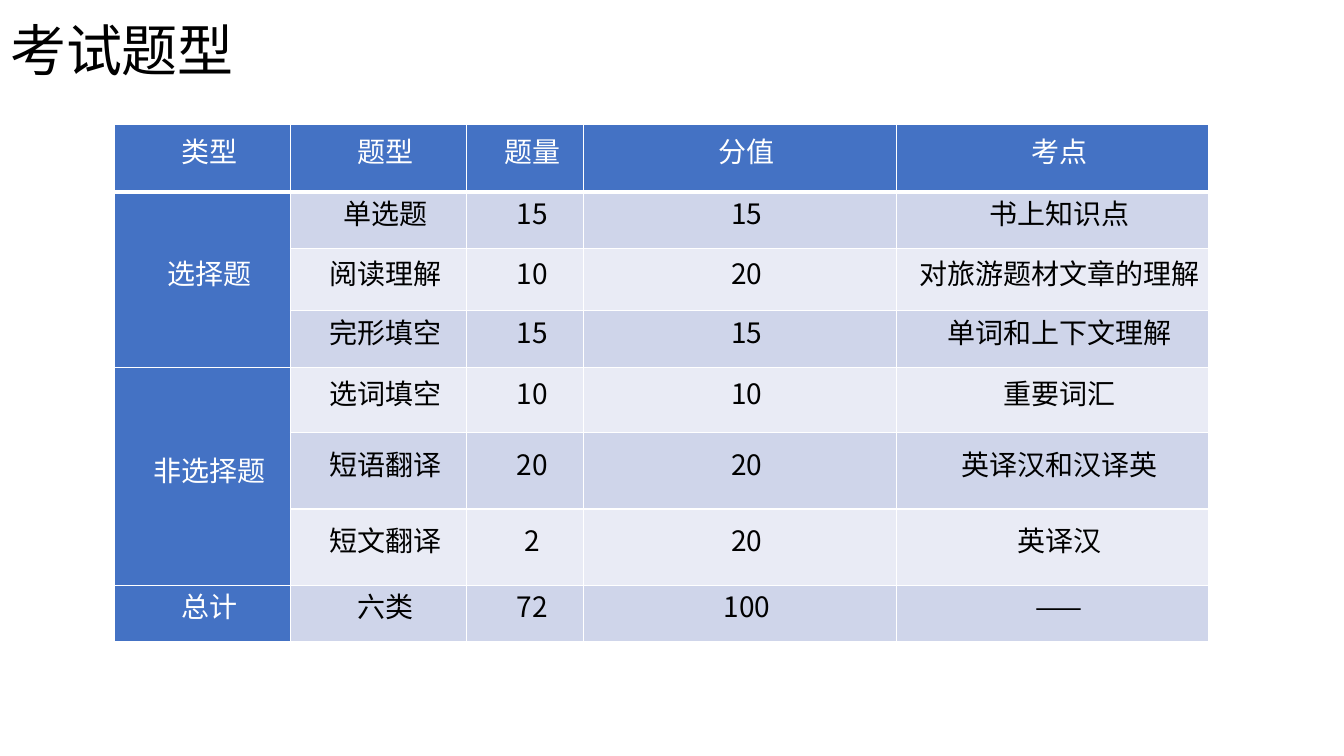
from lxml.etree import SubElement
from pptx import Presentation
from pptx.dml.color import RGBColor
from pptx.enum.text import MSO_ANCHOR, PP_ALIGN
from pptx.oxml.ns import qn
from pptx.util import Pt

# Content
TITLE = "考试题型"
ROWS = [
    ("类型", "题型", "题量", "分值", "考点"),
    ("选择题", "单选题", "15", "15", "书上知识点"),
    ("", "阅读理解", "10", "20", "对旅游题材文章的理解"),
    ("", "完形填空", "15", "15", "单词和上下文理解"),
    ("非选择题", "选词填空", "10", "10", "重要词汇"),
    ("", "短语翻译", "20", "20", "英译汉和汉译英"),
    ("", "短文翻译", "2", "20", "英译汉"),
    ("总计", "六类", "72", "100", "——"),
]
CATEGORY_SPANS = [(1, 3), (4, 6)]

# Style and measures in points
COLORS = {"header": "4472C4", "odd": "CFD5EA", "even": "E9EBF5",
          "white": "FFFFFF", "black": "000000"}
FONT = "Noto Sans CJK SC"
COLUMN_WIDTHS = [126, 126, 83.5, 223.2, 223.2]
ROW_HEIGHTS = [48.2, 40.3, 44.8, 40.5, 46.3, 54.7, 54.7, 39.8]
TABLE_LEFT, TABLE_TOP = 81.4, 88.8


def format_text(paragraph, size, color):
    for run in paragraph.runs:
        run.font.size = Pt(size)
        run.font.bold = False
        run.font.name = FONT
        run.font.color.rgb = RGBColor.from_string(COLORS[color])
        SubElement(run.font._element, qn("a:ea"), typeface=FONT)


def add_borders(cell, bottom_width):
    properties = cell._tc.get_or_add_tcPr()
    for side, width in (("L", 1), ("R", 1), ("T", 1), ("B", bottom_width)):
        line = SubElement(properties, qn(f"a:ln{side}"), w=str(Pt(width)))
        fill = SubElement(line, qn("a:solidFill"))
        SubElement(fill, qn("a:srgbClr"), val=COLORS["white"])


def format_cell(cell, text, fill, color, bottom_width):
    add_borders(cell, bottom_width)
    cell.fill.solid()
    cell.fill.fore_color.rgb = RGBColor.from_string(COLORS[fill])
    cell.vertical_anchor = MSO_ANCHOR.MIDDLE
    cell.margin_left = cell.margin_right = Pt(5)
    cell.margin_top = cell.margin_bottom = Pt(0)
    paragraph = cell.text_frame.paragraphs[0]
    paragraph.text = text
    paragraph.alignment = PP_ALIGN.CENTER
    paragraph.line_spacing = Pt(18)
    paragraph._p.get_or_add_pPr().set("indent", str(Pt(10)))
    format_text(paragraph, 20, color)


presentation = Presentation()
presentation.slide_width, presentation.slide_height = Pt(960), Pt(540)
slide = presentation.slides.add_slide(presentation.slide_layouts[5])

# Title
title = slide.shapes.title
title.left, title.top, title.width, title.height = Pt(0), Pt(0), Pt(407.5), Pt(76.3)
title.text_frame.text = TITLE
title.text_frame.vertical_anchor = MSO_ANCHOR.MIDDLE
heading = title.text_frame.paragraphs[0]
heading.alignment = PP_ALIGN.LEFT
heading.line_spacing = 0.9
format_text(heading, 40, "black")

# Table
table = slide.shapes.add_table(
    len(ROWS), len(COLUMN_WIDTHS), Pt(TABLE_LEFT), Pt(TABLE_TOP),
    Pt(sum(COLUMN_WIDTHS)), Pt(sum(ROW_HEIGHTS))).table
for column, width in zip(table.columns, COLUMN_WIDTHS):
    column.width = Pt(width)
for row, height in zip(table.rows, ROW_HEIGHTS):
    row.height = Pt(height)

# Header row and category column are blue, the rest is banded
for row_index, texts in enumerate(ROWS):
    band = "odd" if row_index % 2 else "even"
    for column_index, text in enumerate(texts):
        is_heading = row_index == 0 or column_index == 0
        format_cell(table.cell(row_index, column_index), text,
                    "header" if is_heading else band,
                    "white" if is_heading else "black",
                    3 if row_index == 0 else 1)
for first, last in CATEGORY_SPANS:
    table.cell(first, 0).merge(table.cell(last, 0))

presentation.save("out.pptx")
